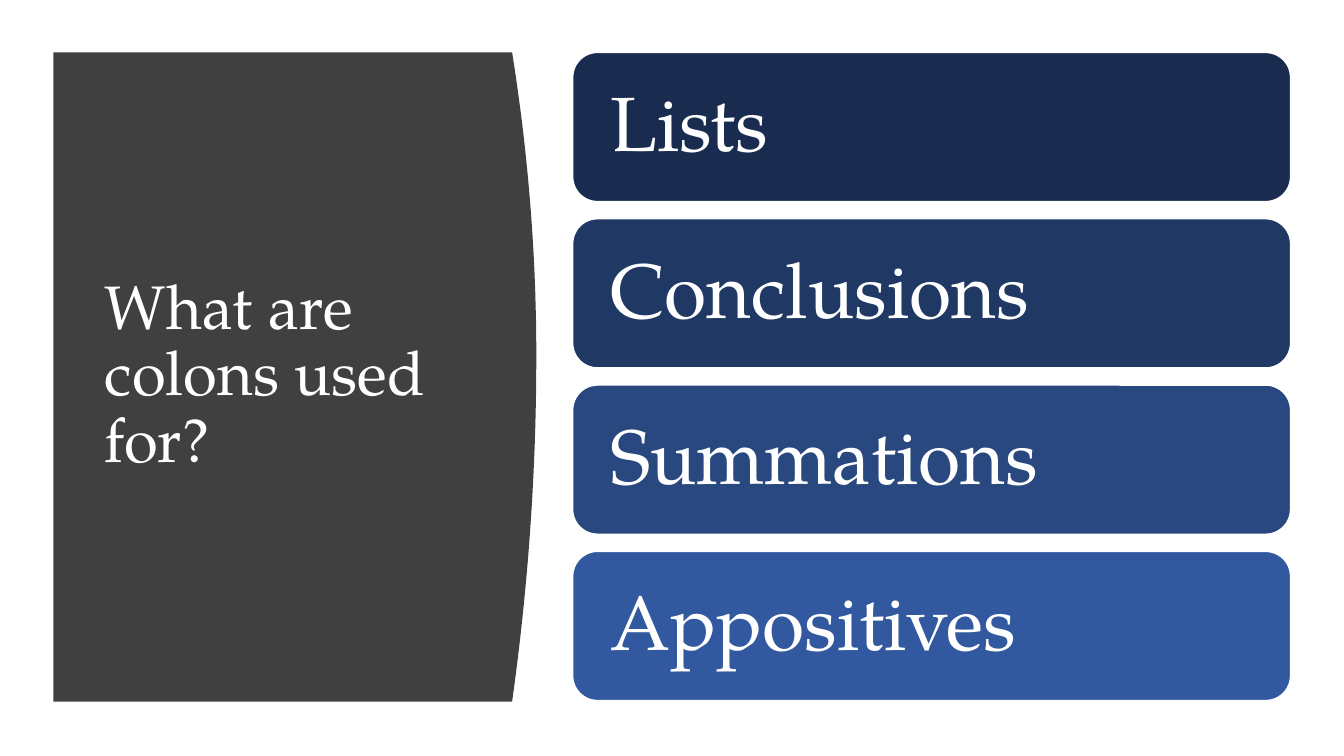
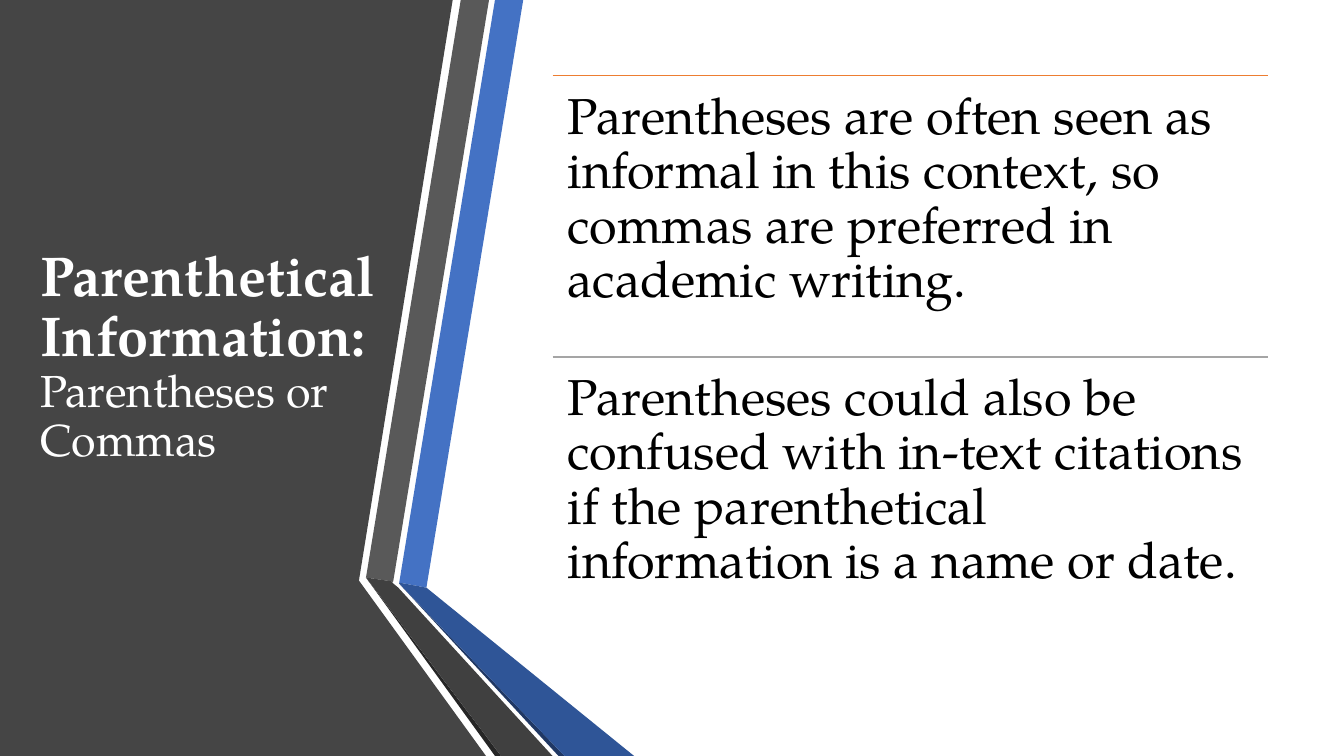
from pptx import Presentation
from pptx.dml.color import RGBColor
from pptx.enum.shapes import MSO_CONNECTOR, MSO_SHAPE
from pptx.enum.text import MSO_ANCHOR, PP_ALIGN
from pptx.oxml.ns import qn
from pptx.util import Pt
from lxml import etree

PX = 9144
SLIDE_W, SLIDE_H = 1333, 750
FONT = "TeX Gyre Pagella"
ROUNDED = MSO_SHAPE.ROUNDED_RECTANGLE
STRAIGHT = MSO_CONNECTOR.STRAIGHT
MIDDLE, TOP = MSO_ANCHOR.MIDDLE, MSO_ANCHOR.TOP
LEFT = PP_ALIGN.LEFT

COLORS = {
    "white": "FFFFFF", "black": "000000",
    "curve": "404040", "panel": "454545",
    "band_gray": "595959", "fold_gray": "404040", "shade_gray": "262626",
    "band_blue": "4472C4", "fold_blue": "2F5597", "shade_blue": "203864",
    "use_1": "192C4F", "use_2": "203864", "use_3": "29487F", "use_4": "3259A0",
    "rule_orange": "ED7D31", "rule_gray": "A5A5A5",
}

TITLE = {"size": Pt(44), "bold": False, "color": "white"}
TITLE_STRONG = {"size": Pt(40), "bold": True, "color": "white"}
TITLE_LIGHT = {"size": Pt(32), "bold": False, "color": "white"}
USE = {"size": Pt(55), "bold": False, "color": "white"}
STATEMENT = {"size": Pt(36), "bold": False, "color": "black"}


def px(*lengths):
    """Turn px lengths into EMU."""
    return [round(length * PX) for length in lengths]


def rgb(color):
    """Look up a named colour."""
    return RGBColor.from_string(COLORS[color])


def apply(target, values):
    """Set every attribute given in a dict."""
    for attribute, value in values.items():
        setattr(target, attribute, value)


def write(holder, runs, anchor, inset_x, inset_y):
    """Fill a shape with one left-aligned paragraph of (text, style) runs."""
    frame = holder.text_frame
    side, edge = px(inset_x, inset_y)
    apply(frame, {"word_wrap": True, "vertical_anchor": anchor,
                  "margin_left": side, "margin_right": side,
                  "margin_top": edge, "margin_bottom": edge})
    paragraph = frame.paragraphs[0]
    apply(paragraph, {"alignment": LEFT, "line_spacing": 0.9})
    for text, style in runs:
        run = paragraph.add_run()
        run.text = text
        apply(run.font, {"name": FONT, "size": style["size"], "bold": style["bold"]})
        run.font.color.rgb = rgb(style["color"])


def add_title(slide, box, runs):
    """Place a slide title centred vertically in its box."""
    write(slide.shapes.add_textbox(*px(*box)), runs, MIDDLE, 10, 5)


def add_outline(slide, origin, points, color):
    """Draw a filled polygon with points relative to its origin."""
    left, top = origin
    placed = [tuple(px(left + x, top + y)) for x, y in points]
    builder = slide.shapes.build_freeform(*placed[0], scale=1.0)
    builder.add_line_segments(placed[1:], close=True)
    outline = builder.convert_to_shape()
    outline.shadow.inherit = False
    outline.fill.solid()
    outline.fill.fore_color.rgb = rgb(color)
    outline.line.fill.background()


def add_curved_panel(slide, box):
    """Draw the dark panel whose right side bulges along two half parabolas."""
    left, top, width, height = box
    bulge, crest, steps = 24, 301, 48
    edge = []
    for step in range(steps + 1):
        y = height * step / steps
        reach = crest if y < crest else height - crest
        edge.append((width - bulge * ((y - crest) / reach) ** 2, y))
    add_outline(slide, (left, top), [(0, 0), *edge, (0, height)], "curve")


def add_use_bars(slide, box, uses, gap):
    """Stack one rounded bar per use, sharing the box height equally."""
    left, top, width, height = box
    bar_height = (height - gap * (len(uses) - 1)) / len(uses)
    for index, (use, color) in enumerate(uses):
        bar_top = top + index * (bar_height + gap)
        bar = slide.shapes.add_shape(ROUNDED, *px(left, bar_top, width, bar_height))
        bar.shadow.inherit = False
        bar.fill.solid()
        bar.fill.fore_color.rgb = rgb(color)
        bar.line.color.rgb = rgb("white")
        bar.line.width = Pt(1)
        write(bar, [(use, USE)], MIDDLE, 30, 23)


def add_folded_panel(slide, box):
    """Draw the dark side panel with the two folded bands along its edge."""
    left, top, width, height = box
    add_outline(slide, (left, top),
                [(0, 0), (449, 0), (356, 576), (width, height), (0, height)], "panel")
    bands = [
        ("band_blue", [(33, 578), (60, 583), (156, 0), (128, 0)]),
        ("band_gray", [(122, 0), (94, 0), (0, 573), (27, 577)]),
        ("shade_gray", [(0, 573), (128, height), (134, height)]),
        ("shade_blue", [(33, 579), (191, height), (197, height)]),
        ("fold_blue", [(33, 578), (33, 579), (197, height), (266, height), (60, 583)]),
        ("fold_gray", [(0, 573), (134, height), (185, height), (32, 583),
                       (26, 578), (27, 577)]),
    ]
    for color, points in bands:
        add_outline(slide, (left + 363, top), points, color)


def add_statements(slide, box, statements):
    """Stack statements in equal rows, each under a thin coloured rule."""
    left, top, width, height = box
    row_height = height / len(statements)
    for index, (statement, color) in enumerate(statements):
        row_top = top + index * row_height
        rule = slide.shapes.add_connector(
            STRAIGHT, *px(left, row_top, left + width, row_top))
        rule.line.color.rgb = rgb(color)
        rule.line.width = Pt(1)
        etree.SubElement(rule._element.spPr, qn("a:effectLst"))
        row = slide.shapes.add_textbox(*px(left, row_top, width, row_height))
        write(row, [(statement, STATEMENT)], TOP, 15, 15)


def build_colons(slide):
    """Build the slide on the uses of colons."""
    add_curved_panel(slide, (53, 52, 479, 644))
    add_title(slide, (94, 111, 374, 524), [("What are colons used for?", TITLE)])
    add_use_bars(slide, (568, 52, 712, 643), [
        ("Lists", "use_1"), ("Conclusions", "use_2"),
        ("Summations", "use_3"), ("Appositives", "use_4")], 17)


def build_parentheticals(slide):
    """Build the slide on parentheses and commas."""
    add_folded_panel(slide, (0, 0, 482, SLIDE_H))
    add_title(slide, (30, 75, 366, 558), [
        ("Parenthetical Information: ", TITLE_STRONG),
        ("Parentheses or Commas", TITLE_LIGHT)])
    add_statements(slide, (548, 75, 710, 558), [
        ("Parentheses are often seen as informal in this context, "
         "so commas are preferred in academic writing.", "rule_orange"),
        ("Parentheses could also be confused with in-text citations "
         "if the parenthetical information is a name or date.", "rule_gray")])


def main():
    """Build and save the presentation."""
    deck = Presentation()
    deck.slide_width, deck.slide_height = px(SLIDE_W, SLIDE_H)
    blank = deck.slide_layouts[6]
    for build in (build_colons, build_parentheticals):
        build(deck.slides.add_slide(blank))
    deck.save("out.pptx")


if __name__ == "__main__":
    main()
